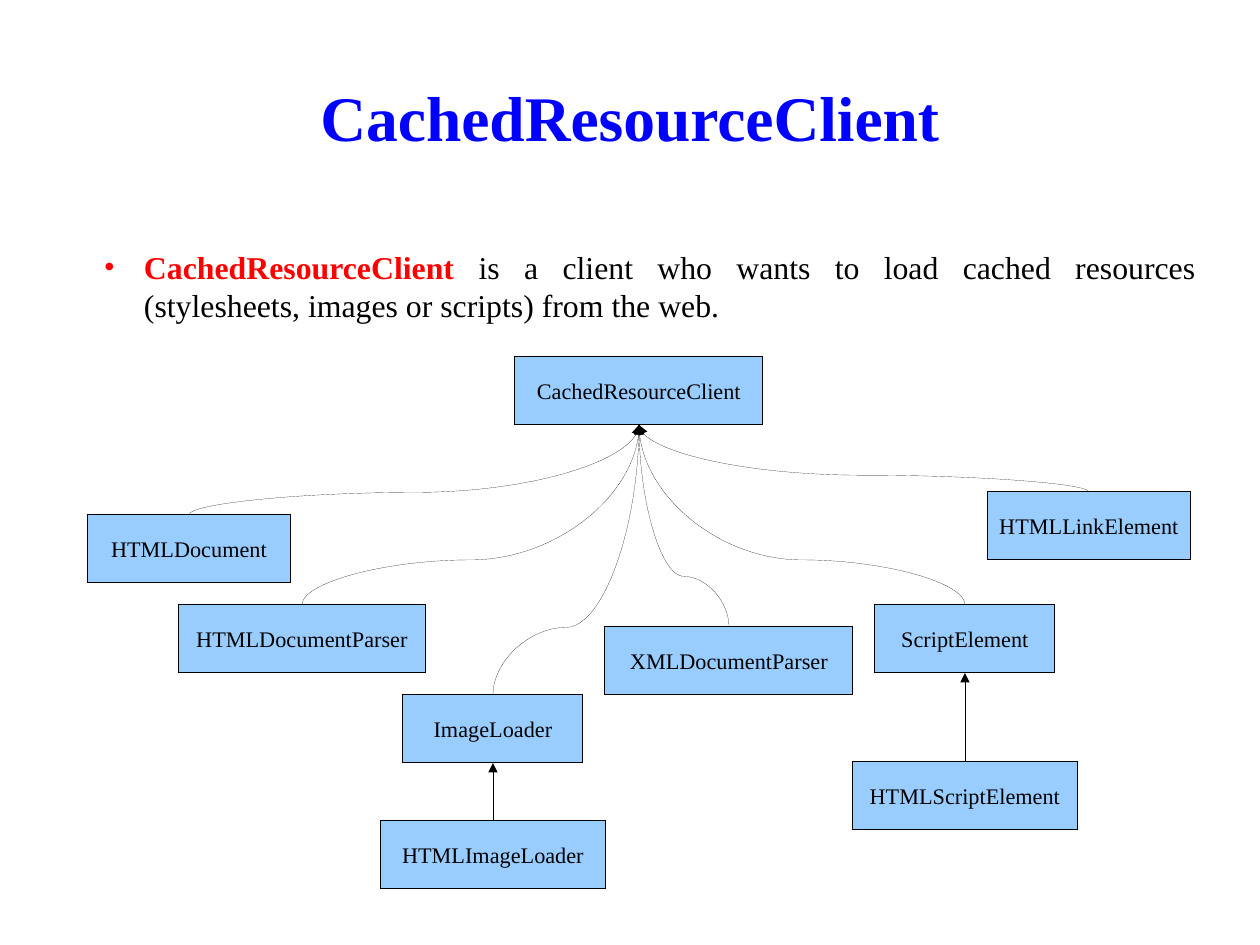
"""Build the CachedResourceClient class hierarchy slide."""
from lxml.etree import SubElement
from pptx import Presentation
from pptx.dml.color import RGBColor
from pptx.enum.shapes import MSO_CONNECTOR, MSO_SHAPE
from pptx.enum.text import MSO_ANCHOR, PP_ALIGN
from pptx.oxml.ns import qn
from pptx.util import Pt

PX = 8000
BLACK, BLUE, RED, SKY = "000000", "0000FF", "FF0000", "99CCFF"
FONT = "Times New Roman"
BOX_HEIGHT = 68
ROOT = "CachedResourceClient"
BOXES = {
    ROOT: (639, 357, 248),
    "ImageLoader": (493, 695, 180),
    "HTMLDocument": (189, 515, 203),
    "ScriptElement": (965, 605, 180),
    "HTMLLinkElement": (1089, 492, 203),
    "HTMLDocumentParser": (302, 605, 248),
    "HTMLScriptElement": (965, 762, 225),
    "XMLDocumentParser": (729, 627, 248),
    "HTMLImageLoader": (493, 821, 225),
}
PARENTS = {"HTMLScriptElement": "ScriptElement", "HTMLImageLoader": "ImageLoader"}


def color(value):
    return RGBColor.from_string(value)


def add_text(para, text, size=14, fill=BLACK, bold=False, align=PP_ALIGN.CENTER):
    para.alignment = align
    span = para.add_run()
    span.text = text
    span.font.name = FONT
    span.font.size = Pt(size)
    span.font.bold = bold
    span.font.color.rgb = color(fill)


deck = Presentation()
deck.slide_width, deck.slide_height = 1260 * PX, 945 * PX
page = deck.slides.add_slide(deck.slide_layouts[6])

frames = []
for bounds, anchor in (
    ((63, 37, 1134, 158), MSO_ANCHOR.MIDDLE),
    ((90, 248, 1106, 624), MSO_ANCHOR.TOP),
):
    frame = page.shapes.add_textbox(*[length * PX for length in bounds]).text_frame
    frame.word_wrap = True
    frame.vertical_anchor = anchor
    frame.margin_left = frame.margin_right = frame.margin_top = frame.margin_bottom = 0
    frames.append(frame)
title, body = frames

add_text(title.paragraphs[0], ROOT, size=40, fill=BLUE, bold=True)

para = body.paragraphs[0]
properties = para._p.get_or_add_pPr()
properties.set("marL", str(54 * PX))
properties.set("indent", str(-40 * PX))
SubElement(properties, qn("a:buFont")).set("typeface", FONT)
SubElement(properties, qn("a:buChar")).set("char", "•")
para.space_after = Pt(14.2)
add_text(para, ROOT, size=20, fill=RED, bold=True, align=PP_ALIGN.JUSTIFY)
add_text(
    para,
    " is a client who wants to load cached resources (stylesheets, images or scripts) from the web.",
    size=20,
    align=PP_ALIGN.JUSTIFY,
)

outlines = []
for name, (center, top, width) in BOXES.items():
    box = page.shapes.add_shape(
        MSO_SHAPE.RECTANGLE,
        int((center - width / 2) * PX), top * PX, width * PX, BOX_HEIGHT * PX,
    )
    box.shadow.inherit = False
    box.fill.solid()
    box.fill.fore_color.rgb = color(SKY)
    box.text_frame.word_wrap = False
    box.text_frame.vertical_anchor = MSO_ANCHOR.MIDDLE
    add_text(box.text_frame.paragraphs[0], name)
    outlines.append(box.line)

for name, (child_x, child_top, _) in BOXES.items():
    if name == ROOT:
        continue
    parent_x, parent_top, _ = BOXES[PARENTS.get(name, ROOT)]
    parent_bottom = parent_top + BOX_HEIGHT
    if child_x == parent_x:
        arrow = page.shapes.add_connector(
            MSO_CONNECTOR.STRAIGHT,
            child_x * PX, child_top * PX, parent_x * PX, parent_bottom * PX,
        )
    else:
        middle_x, middle_y = (child_x + parent_x) / 2, (child_top + parent_bottom) / 2
        half_width = (child_top - parent_bottom) / 2
        half_height = abs(child_x - parent_x) / 2
        side = 1 if child_x < parent_x else -1
        ends = (
            middle_x + side * half_width, middle_y + half_height,
            middle_x - side * half_width, middle_y - half_height,
        )
        arrow = page.shapes.add_connector(MSO_CONNECTOR.CURVE, *[int(end * PX) for end in ends])
        shape_properties = arrow._element.spPr
        shape_properties.find(qn("a:xfrm")).set("rot", "5400000" if side == 1 else "16200000")
        adjustments = shape_properties.find(qn("a:prstGeom")).find(qn("a:avLst"))
        guide = SubElement(adjustments, qn("a:gd"))
        guide.set("name", "adj1")
        guide.set("fmla", "val 25000")
    arrow.line.color.rgb = color(BLACK)
    SubElement(arrow.line._get_or_add_ln(), qn("a:tailEnd")).set("type", "triangle")
    SubElement(arrow._element.spPr, qn("a:effectLst"))
    outlines.append(arrow.line)

for outline in outlines:
    outline.color.rgb = color(BLACK)
    outline._get_or_add_ln().set("w", "0")

deck.save("out.pptx")
